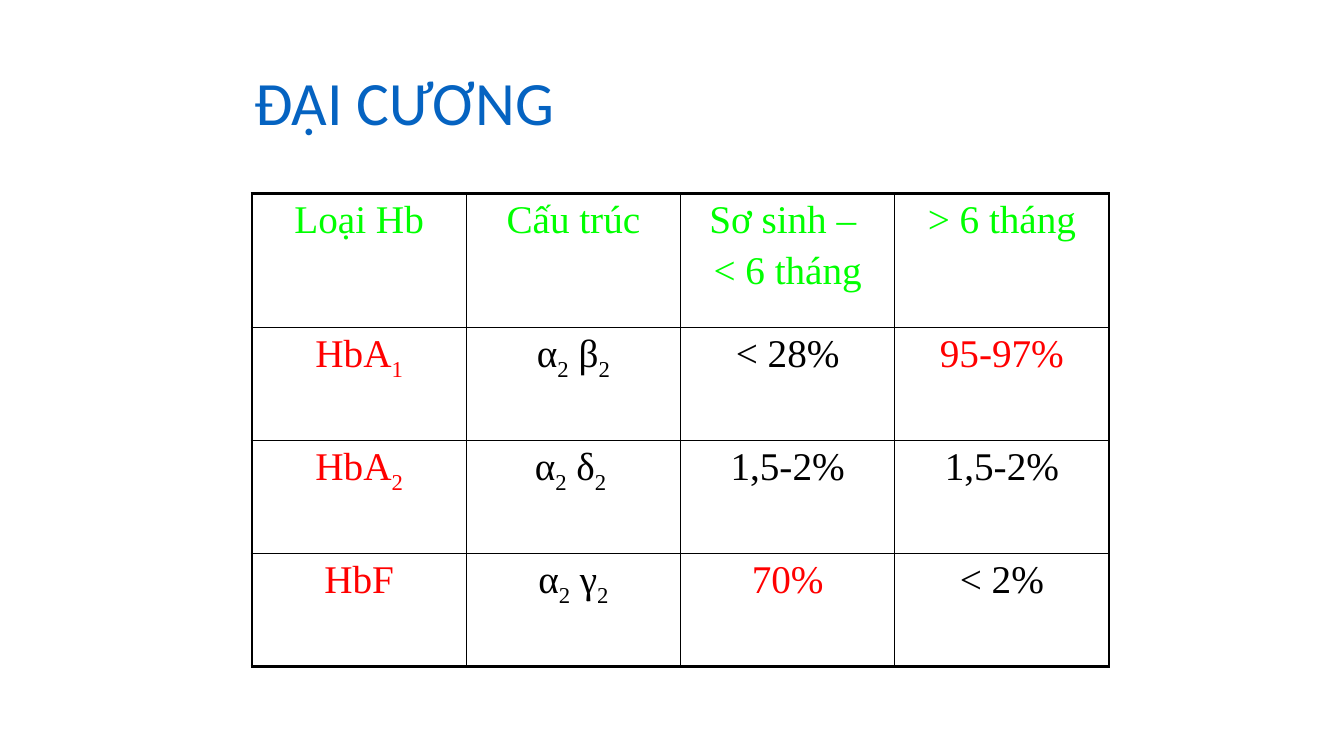
import pptx
import pptx.util
import pptx.dml.color
import pptx.enum.text
import pptx.oxml
import pptx.oxml.ns

Inches, Pt = pptx.util.Inches, pptx.util.Pt
GREEN, RED, BLACK = "00FF00", "FF0000", "000000"


def style(run, font, size, tint):
    run.font.name = font
    run.font.size = Pt(size)
    run.font.color.rgb = pptx.dml.color.RGBColor.from_string(tint)


def edge(cell, spot, side, width):
    xml = (f'<a:ln{side} {pptx.oxml.ns.nsdecls("a")} w="{Pt(width)}">'
           f'<a:solidFill><a:srgbClr val="{BLACK}"/></a:solidFill></a:ln{side}>')
    cell._tc.get_or_add_tcPr().insert(spot, pptx.oxml.parse_xml(xml))


deck = pptx.Presentation()
deck.slide_width, deck.slide_height = Inches(13.33), Inches(7.5)
slide = deck.slides.add_slide(deck.slide_layouts[5])

# Title
title = slide.shapes.title
title.left, title.top = Inches(2.42), Inches(0.42)
title.width, title.height = Inches(8.5), Inches(1.25)
frame = title.text_frame
frame.word_wrap = True
frame.vertical_anchor = pptx.enum.text.MSO_ANCHOR.MIDDLE
para = frame.paragraphs[0]
para.alignment = pptx.enum.text.PP_ALIGN.LEFT
para.line_spacing = 0.9
run = para.add_run()
run.text = "ĐẠI CƯƠNG"
style(run, "Calibri", 44, "0563C1")

# Cell text: a bar switches between normal and subscript, a newline starts a paragraph
rows = [
    [("Loại Hb", GREEN), ("Cấu trúc", GREEN), ("Sơ sinh – \n< 6 tháng", GREEN), ("> 6 tháng", GREEN)],
    [("HbA|1", RED), ("α|2| β|2", BLACK), ("< 28%", BLACK), ("95-97%", RED)],
    [("HbA|2", RED), ("α|2| δ|2 ", BLACK), ("1,5-2%", BLACK), ("1,5-2%", BLACK)],
    [("HbF", RED), ("α|2| γ|2", BLACK), ("70%", RED), ("< 2%", BLACK)],
]
last = len(rows) - 1

# Table grid
table = slide.shapes.add_table(4, 4, Inches(2.5), Inches(1.92), Inches(8.5), Inches(4.7)).table
table.first_row = table.horz_banding = False
for col in table.columns:
    col.width = Inches(8.5 / 4)
for i, row in enumerate(table.rows):
    row.height = Inches(1.33 if i == 0 else 1.12)

# Cells: text, then thick outer and thin inner borders
for i, row in enumerate(rows):
    for j, (text, tint) in enumerate(row):
        cell = table.cell(i, j)
        cell.fill.background()
        for k, line in enumerate(text.split("\n")):
            para = cell.text_frame.add_paragraph() if k else cell.text_frame.paragraphs[0]
            para.alignment = pptx.enum.text.PP_ALIGN.CENTER
            if k:
                para.space_before = Pt(5.6)
            for n, part in enumerate(line.split("|")):
                run = para.add_run()
                run.text = part
                style(run, "Times New Roman", 28, tint)
                if n % 2:
                    run.font._element.set("baseline", "-25000")
        outer = {"L": j == 0, "R": j == last, "T": i == 0, "B": i == last}
        for spot, (side, thick) in enumerate(outer.items()):
            edge(cell, spot, side, 2.25 if thick else 1)

deck.save("out.pptx")
